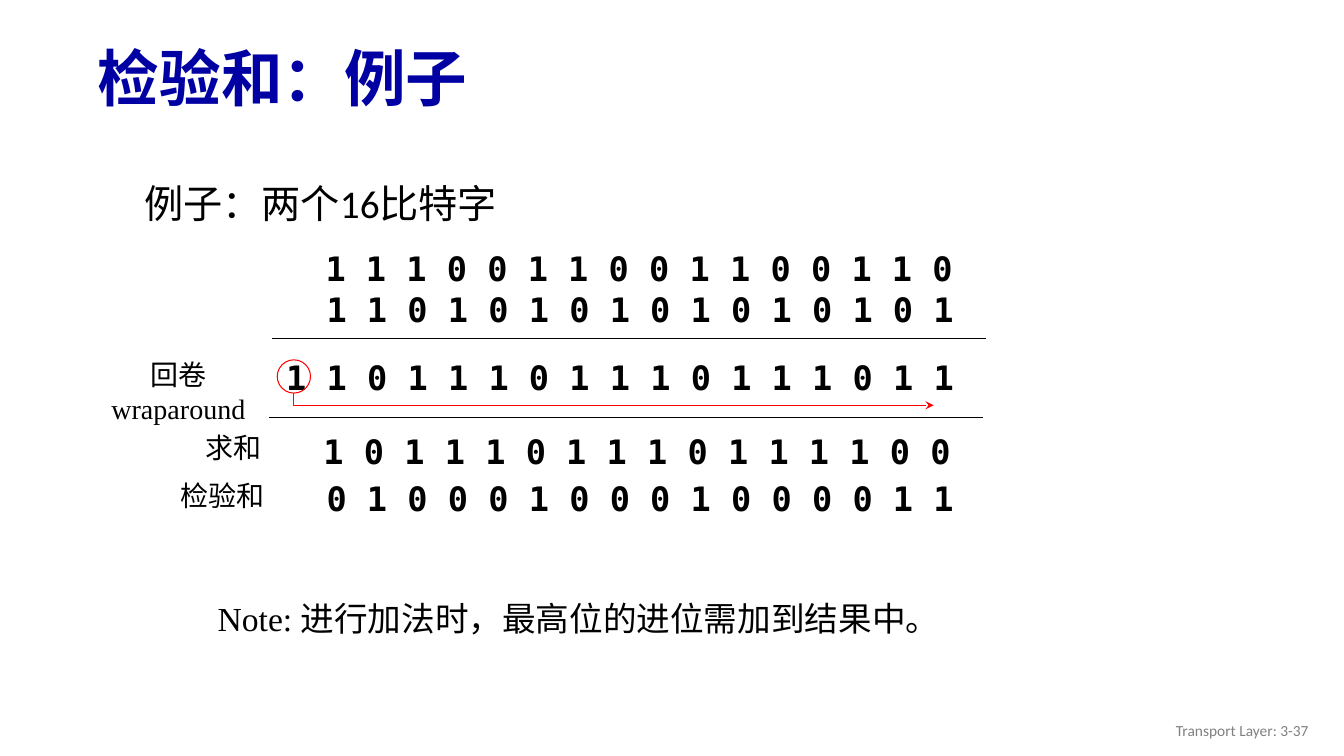
from lxml import etree
from pptx import Presentation
from pptx.dml.color import RGBColor
from pptx.enum.shapes import MSO_CONNECTOR, MSO_SHAPE
from pptx.enum.text import MSO_ANCHOR, MSO_AUTO_SIZE, PP_ALIGN
from pptx.oxml.ns import qn
from pptx.util import Inches, Pt

LEFT, CENTER, RIGHT = PP_ALIGN.LEFT, PP_ALIGN.CENTER, PP_ALIGN.RIGHT
TOP, MIDDLE = MSO_ANCHOR.TOP, MSO_ANCHOR.MIDDLE
COLORS = {"title": "0000A3", "ink": "000000", "carry": "FF0000", "footer": "808080"}
SANS, SERIF, LABEL, MONO = "Calibri", "Times New Roman", "Arial", "DejaVu Sans Mono"

TITLE = "检验和：例子"
EXAMPLE = "例子：两个16比特字"
# bits, left, top
BIT_ROWS = [
    ("1110011001100110", 3.13, 2.41),
    ("1101010101010101", 3.14, 2.82),
    ("11011101110111011", 2.74, 3.49),
    ("1011101110111100", 3.11, 4.23),
    ("0100010001000011", 3.14, 4.69),
]
# text, box, font, alignment
ROW_LABELS = [
    ("回卷\nwraparound", (1, 3.5, 1.54, 0.77), SERIF, CENTER),
    ("求和", (1.94, 4.22, 0.76, 0.44), LABEL, LEFT),
    ("检验和", (1.69, 4.7, 1.04, 0.44), LABEL, LEFT),
]
NOTE = "Note: 进行加法时，最高位的进位需加到结果中。"
FOOTER = "Transport Layer: 3-37"

BIT_PITCH = 0.4      # one digit and the gap after it
BIT_PADDING = 0.05   # box width beyond the digits
RULES = [(2.7, 3.36), (2.67, 4.14)]
RULE_LENGTH = 7.08
CARRY_RING = (2.75, 3.57, 0.33)
CARRY_Y, CARRY_END = 4.02, 9.26


def rgb(name):
    return RGBColor.from_string(COLORS[name])


def place(shape, box):
    shape.left, shape.top, shape.width, shape.height = map(Inches, box)


def write(shape, text, size, font, color="ink", bold=False, align=LEFT,
          anchor=TOP, wrap=True):
    frame = shape.text_frame
    frame.text = text
    frame.word_wrap = wrap
    frame.auto_size = MSO_AUTO_SIZE.NONE
    frame.vertical_anchor = anchor
    for paragraph in frame.paragraphs:
        paragraph.alignment = align
        for run in paragraph.runs:
            run.font.size, run.font.name, run.font.bold = Pt(size), font, bold
            run.font.color.rgb = rgb(color)
    return frame.paragraphs[0]


def add_text(box, text, size, font, **style):
    write(slide.shapes.add_textbox(*map(Inches, box)), text, size, font, **style)


def outline(shape, color, width):
    shape.line.color.rgb = rgb(color)
    shape.line.width = Pt(width)


prs = Presentation()
prs.slide_width, prs.slide_height = Inches(13.33), Inches(7.5)
slide = prs.slides.add_slide(prs.slide_layouts[1])

title, example = slide.placeholders
place(title, (0.87, 0.32, 12.14, 0.98))
write(title, TITLE, 44, SANS, "title", bold=True, anchor=MIDDLE).line_spacing = 0.9

place(example, (1.33, 1.59, 8.5, 3))
example_line = write(example, EXAMPLE, 28, SANS)
example_line.line_spacing = 1.3
example_line.space_before = Pt(0)
properties = example_line._p.get_or_add_pPr()
properties.set("marL", str(Inches(0.26)))
properties.set("indent", str(Inches(-0.26)))
etree.SubElement(properties, qn("a:buNone"))

for bits, left, top in BIT_ROWS:
    width = len(bits) * BIT_PITCH + BIT_PADDING
    add_text((left, top, width, 0.5), " ".join(bits), 24, MONO, bold=True, wrap=False)

for text, box, font, align in ROW_LABELS:
    add_text(box, text, 20, font, align=align, wrap=False)

for left, y in RULES:
    rule = slide.shapes.add_connector(
        MSO_CONNECTOR.STRAIGHT, *map(Inches, (left, y, left + RULE_LENGTH, y)))
    outline(rule, "ink", 1)
    etree.SubElement(rule._element.spPr, qn("a:effectLst"))

ring_left, ring_top, ring_size = CARRY_RING
ring = slide.shapes.add_shape(
    MSO_SHAPE.OVAL, *map(Inches, (ring_left, ring_top, ring_size, ring_size)))
carry_x, carry_top = ring_left + ring_size / 2, ring_top + ring_size
builder = slide.shapes.build_freeform(Inches(carry_x), Inches(carry_top))
builder.add_line_segments(
    [(Inches(carry_x), Inches(CARRY_Y)), (Inches(CARRY_END), Inches(CARRY_Y))],
    close=False)
carry_arrow = builder.convert_to_shape()
for shape in (ring, carry_arrow):
    shape.shadow.inherit = False
    shape.fill.background()
    outline(shape, "carry", 0.75)
etree.SubElement(carry_arrow.line._get_or_add_ln(), qn("a:tailEnd"), type="stealth")

add_text((2.06, 5.88, 11, 0.5), NOTE, 24, SERIF)
add_text((10.08, 7.05, 3, 0.4), FOOTER, 11, SANS, color="footer", align=RIGHT,
         anchor=MIDDLE)

prs.save("out.pptx")
